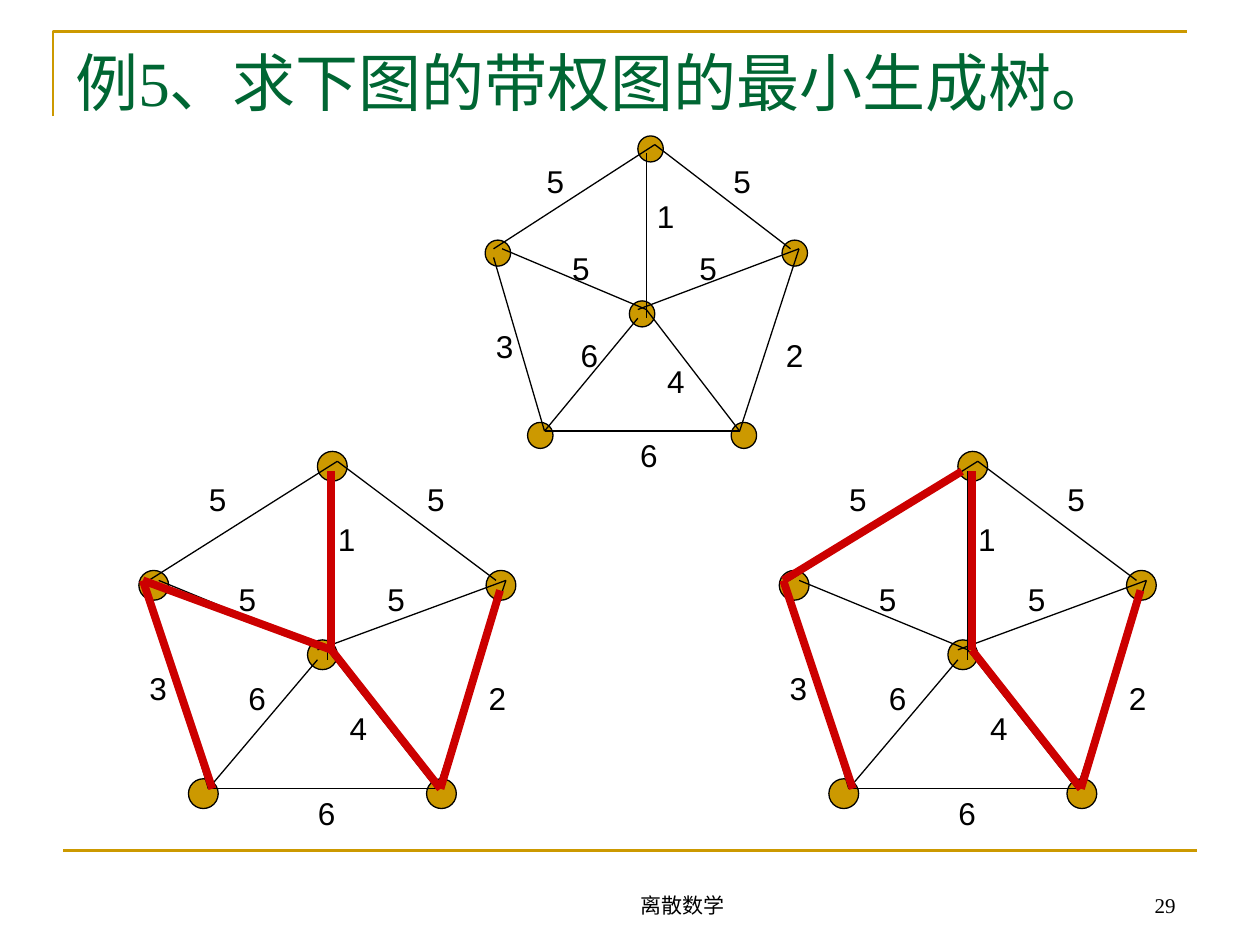
from typing import NamedTuple

from lxml.etree import SubElement
from pptx import Presentation
from pptx.dml.color import RGBColor
from pptx.enum.shapes import MSO_CONNECTOR, MSO_SHAPE
from pptx.enum.text import MSO_ANCHOR, PP_ALIGN
from pptx.oxml.ns import qn
from pptx.util import Cm, Length, Pt

GOLD = RGBColor(0xCC, 0x99, 0x00)
GREEN = RGBColor(0x00, 0x66, 0x33)
RED = RGBColor(0xCC, 0x00, 0x00)
BLACK = RGBColor(0x00, 0x00, 0x00)
SERIF = "Times New Roman"
SANS = "Arial"


class Vertex(NamedTuple):
    x: float
    y: float


class Edge(NamedTuple):
    x1: float
    y1: float
    x2: float
    y2: float


class Weight(NamedTuple):
    text: str
    x: float
    y: float


class GraphFrame(NamedTuple):
    """Origin and grid step in centimetres, with the tree edges to highlight."""
    left: float
    top: float
    step_x: float
    step_y: float
    tree: tuple[Edge, ...] = ()

    def x(self, column: float) -> Length:
        return Cm(self.left + column * self.step_x)

    def y(self, row: float) -> Length:
        return Cm(self.top + row * self.step_y)


# Vertices, edges and weights are in grid steps from the frame's origin.
VERTEX_SIZE = 3
VERTICES = (
    Vertex(18, 0), Vertex(0, 12), Vertex(5, 33),
    Vertex(17, 19), Vertex(35, 12), Vertex(29, 33),
)
EDGES = (
    Edge(20, 1, 1, 13), Edge(1, 14, 7, 34), Edge(20, 1, 36, 13),
    Edge(37, 13, 18, 20), Edge(18, 21, 7, 34), Edge(19, 20, 30, 34),
    Edge(7, 34, 30, 34), Edge(37, 13, 30, 34), Edge(19, 2, 19, 21),
    Edge(2, 13, 19, 20),
)
WEIGHTS = (
    Weight("1", 18.8, 6.3), Weight("5", 5.8, 2.3), Weight("5", 27.8, 2.3),
    Weight("3", -0.2, 21.3), Weight("6", 16.8, 33.9), Weight("2", 34, 22.3),
    Weight("6", 9.8, 22.3), Weight("4", 20, 25.3), Weight("5", 8.8, 12.3),
    Weight("5", 23.8, 12.3),
)
SHARED_TREE = (
    Edge(19.4, 2, 19.4, 20), Edge(36.4, 14, 30.4, 34),
    Edge(0.4, 13, 7.4, 34), Edge(19.4, 20, 30.4, 34),
)
GRAPHS = (
    GraphFrame(9.78, 2.74, 0.171, 0.175),
    GraphFrame(2.8, 9.1, 0.2, 0.2, SHARED_TREE + (Edge(0.4, 13, 19.4, 20),)),
    GraphFrame(15.71, 9.1, 0.2, 0.2, SHARED_TREE + (Edge(0.4, 13, 18.4, 2),)),
)


def add_text(shapes, text: str, left: Length, top: Length, width: Length,
             height: Length, *, size: float, font: str, color: RGBColor = BLACK,
             align: PP_ALIGN = PP_ALIGN.LEFT,
             anchor: MSO_ANCHOR = MSO_ANCHOR.TOP, wrap: bool = True) -> None:
    frame = shapes.add_textbox(left, top, width, height).text_frame
    frame.word_wrap = wrap
    frame.vertical_anchor = anchor
    paragraph = frame.paragraphs[0]
    paragraph.alignment = align
    run = paragraph.add_run()
    run.text = text
    run.font.size = Pt(size)
    run.font.name = font
    run.font.color.rgb = color


def add_line(shapes, x1: Length, y1: Length, x2: Length, y2: Length,
             color: RGBColor, width: float) -> None:
    line = shapes.add_connector(MSO_CONNECTOR.STRAIGHT, x1, y1, x2, y2)
    line.line.color.rgb = color
    line.line.width = Pt(width)
    SubElement(line._element.spPr, qn("a:effectLst"))


def add_edges(shapes, frame: GraphFrame, edges: tuple[Edge, ...],
              color: RGBColor, width: float) -> None:
    for edge in edges:
        add_line(shapes, frame.x(edge.x1), frame.y(edge.y1),
                 frame.x(edge.x2), frame.y(edge.y2), color, width)


def add_vertex(shapes, frame: GraphFrame, vertex: Vertex) -> None:
    circle = shapes.add_shape(
        MSO_SHAPE.OVAL, frame.x(vertex.x), frame.y(vertex.y),
        Cm(VERTEX_SIZE * frame.step_x), Cm(VERTEX_SIZE * frame.step_y))
    circle.shadow.inherit = False
    circle.fill.solid()
    circle.fill.fore_color.rgb = GOLD
    circle.line.color.rgb = BLACK
    circle.line.width = Pt(0.75)


def add_graph(slide, frame: GraphFrame) -> None:
    """Draw the weighted graph as a group, then its spanning tree on top."""
    shapes = slide.shapes.add_group_shape().shapes
    for vertex in VERTICES:
        add_vertex(shapes, frame, vertex)
    add_edges(shapes, frame, EDGES, BLACK, 0.75)
    for weight in WEIGHTS:
        add_text(shapes, weight.text, frame.x(weight.x), frame.y(weight.y),
                 Cm(0.86), Cm(1.02), size=18, font=SANS, wrap=False)
    add_edges(slide.shapes, frame, frame.tree, RED, 4.5)


def add_border(slide) -> None:
    left, top = Cm(1.07), Cm(0.64)
    builder = slide.shapes.build_freeform(left, Cm(2.34))
    builder.add_line_segments([(left, top), (Cm(23.93), top)], close=False)
    corner = builder.convert_to_shape()
    corner.shadow.inherit = False
    corner.fill.background()
    corner.line.color.rgb = GOLD
    corner.line.width = Pt(1.5)
    add_line(slide.shapes, Cm(1.27), Cm(17.15), Cm(24.13), Cm(17.15), GOLD, 1.5)


def main() -> None:
    presentation = Presentation()
    presentation.slide_width = Cm(25.4)
    presentation.slide_height = Cm(19.05)
    slide = presentation.slides.add_slide(presentation.slide_layouts[6])
    add_border(slide)
    add_text(slide.shapes, "例5、求下图的带权图的最小生成树。",
             Cm(1.27), Cm(0.76), Cm(22.86), Cm(3.18),
             size=36, font=SERIF, color=GREEN)
    for frame in GRAPHS:
        add_graph(slide, frame)
    add_text(slide.shapes, "离散数学", Cm(9.73), Cm(17.35), Cm(8.05), Cm(1.27),
             size=12, font=SERIF, align=PP_ALIGN.CENTER, anchor=MSO_ANCHOR.BOTTOM)
    add_text(slide.shapes, "29", Cm(21.16), Cm(17.35), Cm(2.79), Cm(1.27),
             size=12, font=SERIF, align=PP_ALIGN.RIGHT, anchor=MSO_ANCHOR.BOTTOM)
    presentation.save("out.pptx")


if __name__ == "__main__":
    main()
